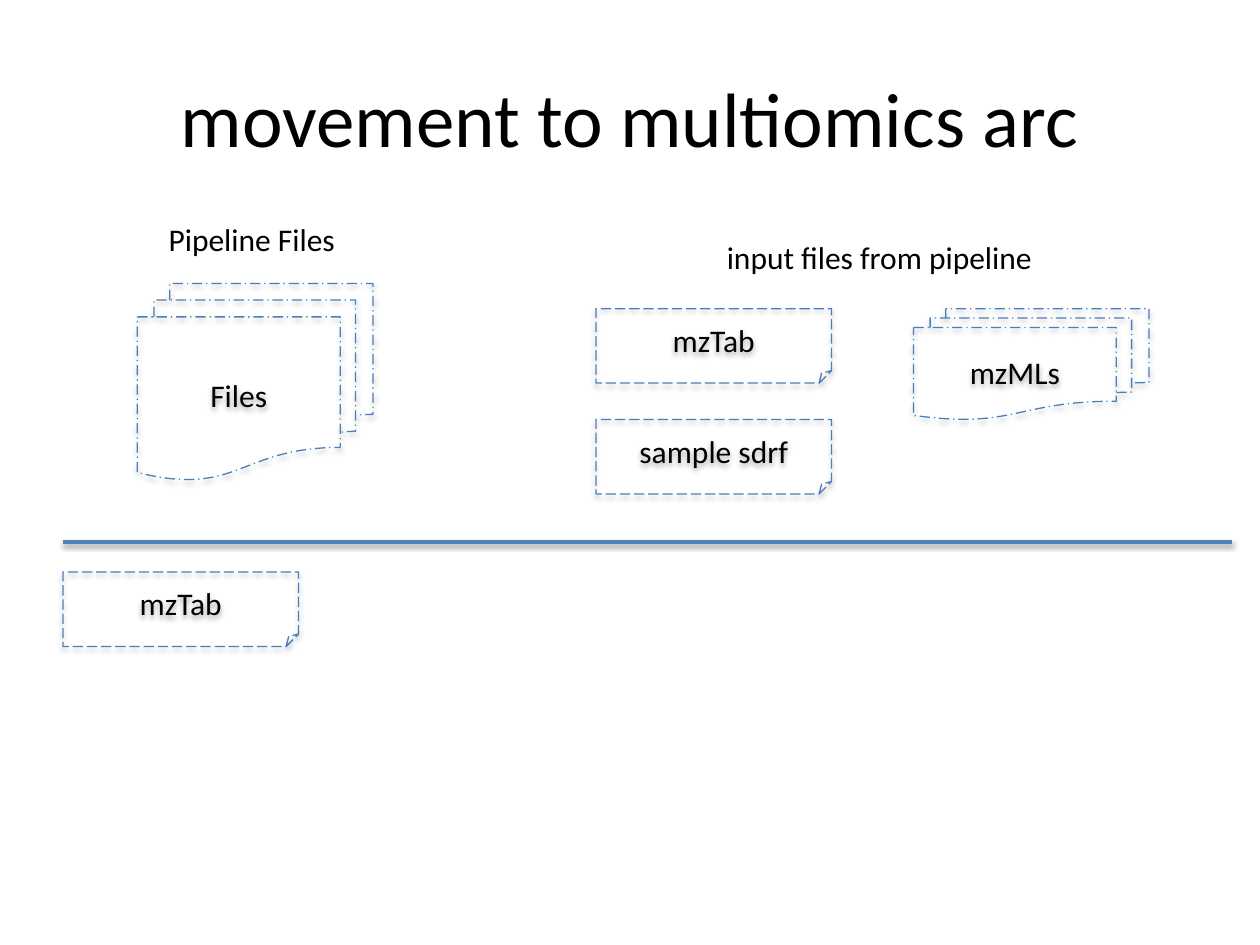
"""Build the slide on moving pipeline files to a multiomics arc."""
import pptx
import pptx.util
import pptx.dml.color
import pptx.enum.dml
import pptx.enum.shapes
import pptx.enum.text

Inches = pptx.util.Inches
Pt = pptx.util.Pt
SHAPE = pptx.enum.shapes.MSO_SHAPE
DASH = pptx.enum.dml.MSO_LINE
ALIGN = pptx.enum.text.PP_ALIGN
ANCHOR = pptx.enum.text.MSO_ANCHOR

BLACK = pptx.dml.color.RGBColor(0x00, 0x00, 0x00)
OUTLINE = pptx.dml.color.RGBColor(0x4B, 0x7E, 0xBC)
DIVIDER = pptx.dml.color.RGBColor(0x4F, 0x81, 0xBD)

FILE_WIDTH = 1.87
FILE_HEIGHT = 0.59


def write(frame, text, size, align):
    para = frame.paragraphs[0]
    para.text = text
    para.alignment = align
    para.font.name = "Calibri"
    para.font.size = Pt(size)
    para.font.color.rgb = BLACK


def place_title(page, text):
    title = page.shapes.title
    title.left, title.top = Inches(0.5), Inches(0.3)
    title.width, title.height = Inches(9), Inches(1.25)
    title.text_frame.vertical_anchor = ANCHOR.MIDDLE
    write(title.text_frame, text, 44, ALIGN.CENTER)


def add_label(page, text, left, top, width):
    box = page.shapes.add_textbox(Inches(left), Inches(top), Inches(width), Inches(0.4))
    box.text_frame.word_wrap = False
    box.text_frame.auto_size = pptx.enum.text.MSO_AUTO_SIZE.SHAPE_TO_FIT_TEXT
    write(box.text_frame, text, 18, ALIGN.LEFT)


def add_outlined(page, kind, dash, text, left, top, height):
    """Add an unfilled dashed shape that keeps the theme's soft shadow."""
    shape = page.shapes.add_shape(
        kind, Inches(left), Inches(top), Inches(FILE_WIDTH), Inches(height))
    shape.fill.background()
    shape.line.color.rgb = OUTLINE
    shape.line.width = Pt(0.75)
    shape.line.dash_style = dash
    shape.text_frame.vertical_anchor = ANCHOR.MIDDLE
    write(shape.text_frame, text, 18, ALIGN.CENTER)


def add_file(page, text, left, top):
    add_outlined(page, SHAPE.FOLDED_CORNER, DASH.LONG_DASH, text, left, top, FILE_HEIGHT)


def add_file_stack(page, text, left, top, height):
    add_outlined(page, SHAPE.FLOWCHART_MULTIDOCUMENT, DASH.LONG_DASH_DOT,
                 text, left, top, height)


def add_divider(page, left, right, top):
    line = page.shapes.add_connector(
        pptx.enum.shapes.MSO_CONNECTOR.STRAIGHT,
        Inches(left), Inches(top), Inches(right), Inches(top))
    line.line.color.rgb = DIVIDER
    line.line.width = Pt(2)


def main():
    deck = pptx.Presentation()
    deck.slide_width, deck.slide_height = Inches(10), Inches(7.5)
    page = deck.slides.add_slide(deck.slide_layouts[5])

    place_title(page, "movement to multiomics arc")
    add_file_stack(page, "Files", 1.09, 2.25, 1.56)
    add_label(page, "Pipeline Files", 1.24, 1.7, 1.54)
    add_file(page, "mzTab", 4.73, 2.45)
    add_file_stack(page, "mzMLs", 7.25, 2.45, 0.88)
    add_label(page, "input files from pipeline", 5.67, 1.84, 2.66)
    add_file(page, "sample sdrf", 4.73, 3.33)
    add_divider(page, 0.5, 9.78, 4.3)
    add_file(page, "mzTab", 0.5, 4.54)

    deck.save("out.pptx")


if __name__ == "__main__":
    main()
